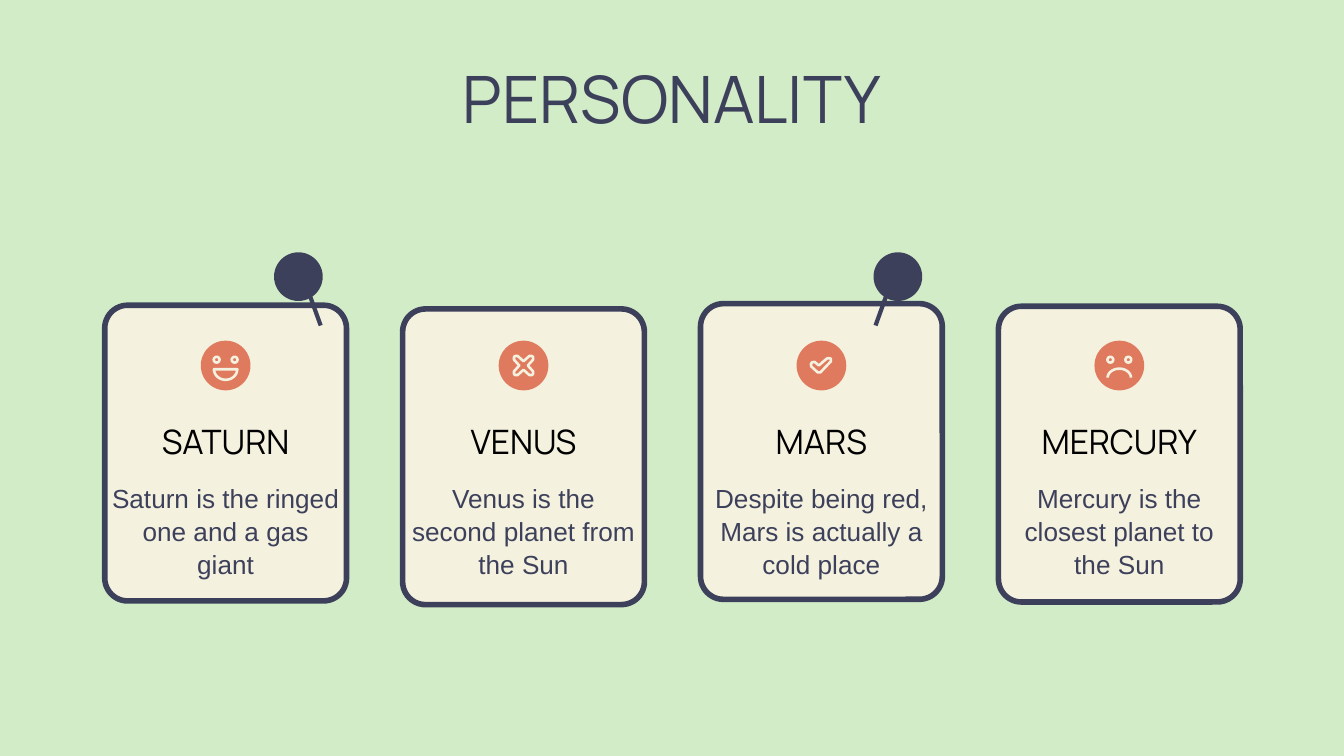
import math

import pptx
import pptx.util
from pptx.dml.color import RGBColor
from pptx.enum.shapes import MSO_SHAPE
from pptx.enum.text import MSO_ANCHOR, PP_ALIGN

Cm, Pt = pptx.util.Cm, pptx.util.Pt

GREEN = RGBColor(0xD2, 0xEC, 0xC8)
CREAM = RGBColor(0xF4, 0xF1, 0xDE)
NAVY = RGBColor(0x3D, 0x40, 0x5B)
CORAL = RGBColor(0xE0, 0x7A, 0x5F)
BLACK = RGBColor(0, 0, 0)

TITLE = dict(name="Manrope", size=Pt(35))
HEADING = dict(name="Manrope", size=Pt(18))
BODY = dict(name="Arial", size=Pt(14))

CARD_W, CARD_H = 4.57, 5.59
CARD_LEFT, CARD_PITCH = 1.98, 5.63
ICON_Y, ICON_D = 6.91, 0.94
HEADING_Y, BODY_Y = 7.75, 9.09
PIN_Y, PIN_D = 5.23, 0.92
STROKE = 1.4

# Icon outlines in cm from the centre of the disc
CHECK = [(0.14, -0.14), (0.1, -0.13), (-0.05, 0), (-0.13, -0.07),
         (-0.18, -0.06), (-0.2, -0.02), (-0.19, 0.02), (-0.07, 0.13),
         (-0.02, 0.13), (0.18, -0.08), (0.18, -0.13)]
CROSS_ARM = [(0, -0.08), (0.11, -0.18), (0.16, -0.18), (0.18, -0.16), (0.18, -0.11)]

# Name, text, top of card, icon, pin as (offset in card, lean) or None
CARDS = [
    ("SATURN", "Saturn is the ringed one and a gas giant", 5.77, "smile", (3.66, 1)),
    ("VENUS", "Venus is the second planet from the Sun", 5.84, "cross", None),
    ("MARS", "Despite being red, Mars is actually a cold place", 5.74, "check", (3.73, -1)),
    ("MERCURY", "Mercury is the closest planet to the Sun", 5.79, "frown", None),
]


def paint(sp, fill=None, line=None, width=0):
    sp.shadow.inherit = False
    if fill is None:
        sp.fill.background()
    else:
        sp.fill.solid()
        sp.fill.fore_color.rgb = fill
    if line is None:
        sp.line.fill.background()
    else:
        sp.line.color.rgb = line
        sp.line.width = Pt(width)


def add_centred(s, kind, x, y, w, h, **style):
    """Add a preset shape around the centre point x, y."""
    sp = s.shapes.add_shape(kind, Cm(x - w / 2), Cm(y - h / 2), Cm(w), Cm(h))
    paint(sp, **style)
    return sp


def add_text(s, text, x, y, w, h, font, color, anchor=MSO_ANCHOR.TOP, spacing=1.0):
    tf = s.shapes.add_textbox(Cm(x), Cm(y), Cm(w), Cm(h)).text_frame
    frame = dict(margin_left=0, margin_top=0, margin_right=0, margin_bottom=0,
                 word_wrap=True, vertical_anchor=anchor)
    for key, value in frame.items():
        setattr(tf, key, value)
    p = tf.paragraphs[0]
    p.alignment = PP_ALIGN.CENTER
    p.line_spacing = spacing
    r = p.add_run()
    r.text = text
    for key, value in font.items():
        setattr(r.font, key, value)
    r.font.color.rgb = color


def half_ellipse(rx, ry, y):
    """Points from right to left; a positive ry bulges down from y."""
    angles = [math.pi * i / 24 for i in range(25)]
    return [(rx * math.cos(a), y + ry * math.sin(a)) for a in angles]


def add_outline(s, x, y, points, close=True):
    places = [(Cm(x + dx), Cm(y + dy)) for dx, dy in points]
    fb = s.shapes.build_freeform(*places[0])
    fb.add_line_segments(places[1:], close=close)
    paint(fb.convert_to_shape(), line=CREAM, width=STROKE)


def add_icon(s, kind, x, y):
    add_centred(s, MSO_SHAPE.OVAL, x, y, ICON_D, ICON_D, fill=CORAL)
    if kind in ("smile", "frown"):
        for dx in (-0.17, 0.17):
            add_centred(s, MSO_SHAPE.OVAL, x + dx, y - 0.11, 0.11, 0.11,
                        line=CREAM, width=STROKE)
    if kind == "smile":
        add_outline(s, x, y, half_ellipse(0.22, 0.2, 0.07))
    elif kind == "frown":
        add_outline(s, x, y, half_ellipse(0.22, -0.17, 0.23), close=False)
    elif kind == "check":
        add_outline(s, x, y, CHECK)
    else:
        points, arm = [], CROSS_ARM
        for _ in range(4):
            points += arm
            arm = [(-dy, dx) for dx, dy in arm]
        add_outline(s, x, y, points)


def add_pin(s, x, y, lean):
    needle = add_centred(s, MSO_SHAPE.RECTANGLE, x + 0.19 * lean, y + 0.28,
                         0.08, 1.37, fill=NAVY)
    needle.rotation = -19.8 * lean
    add_centred(s, MSO_SHAPE.OVAL, x, y, PIN_D, PIN_D, fill=NAVY)


def add_card(s, x, y, w, h, name, text, icon, pin):
    mid = x + w / 2
    sp = add_centred(s, MSO_SHAPE.ROUNDED_RECTANGLE, mid, y + h / 2, w, h,
                     fill=CREAM, line=NAVY, width=3)
    sp.adjustments[0] = 0.095
    if pin:
        offset, lean = pin
        add_pin(s, x + offset, PIN_Y, lean)
    add_icon(s, icon, mid, ICON_Y)
    add_text(s, name, x + 0.06, HEADING_Y, w - 0.12, 1.17, HEADING, BLACK,
             anchor=MSO_ANCHOR.MIDDLE)
    add_text(s, text, x + 0.12, BODY_Y, w - 0.24, 2.34, BODY, NAVY, spacing=1.05)


def main():
    prs = pptx.Presentation()
    prs.slide_width, prs.slide_height = Cm(25.4), Cm(14.29)
    s = prs.slides.add_slide(prs.slide_layouts[6])
    s.background.fill.solid()
    s.background.fill.fore_color.rgb = GREEN
    add_text(s, "PERSONALITY", 1.98, 1.24, 21.44, 1.6, TITLE, NAVY, spacing=0.93)
    for i, (name, text, top, icon, pin) in enumerate(CARDS):
        add_card(s, CARD_LEFT + i * CARD_PITCH, top, CARD_W, CARD_H,
                 name, text, icon, pin)
    prs.save("out.pptx")


if __name__ == "__main__":
    main()
